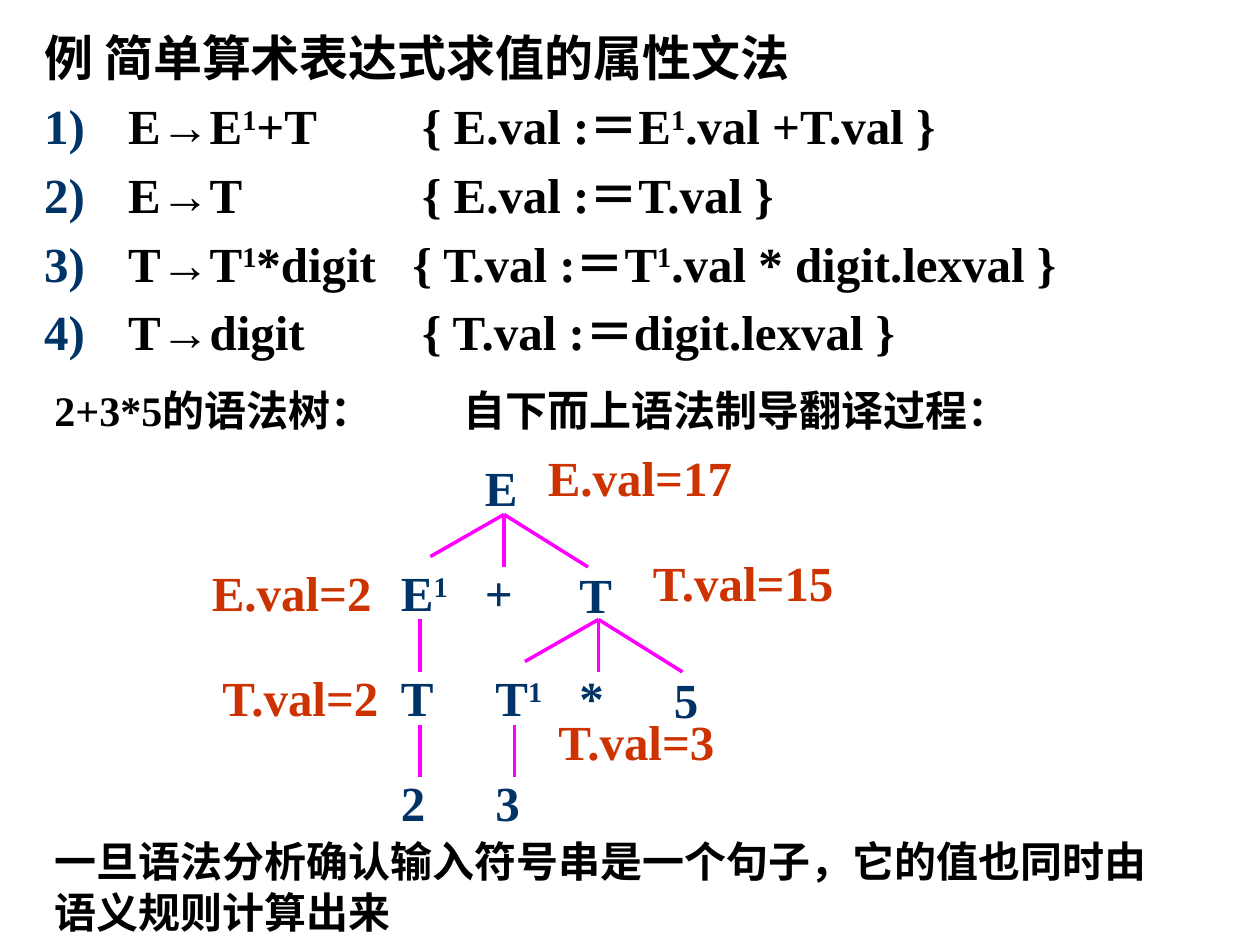
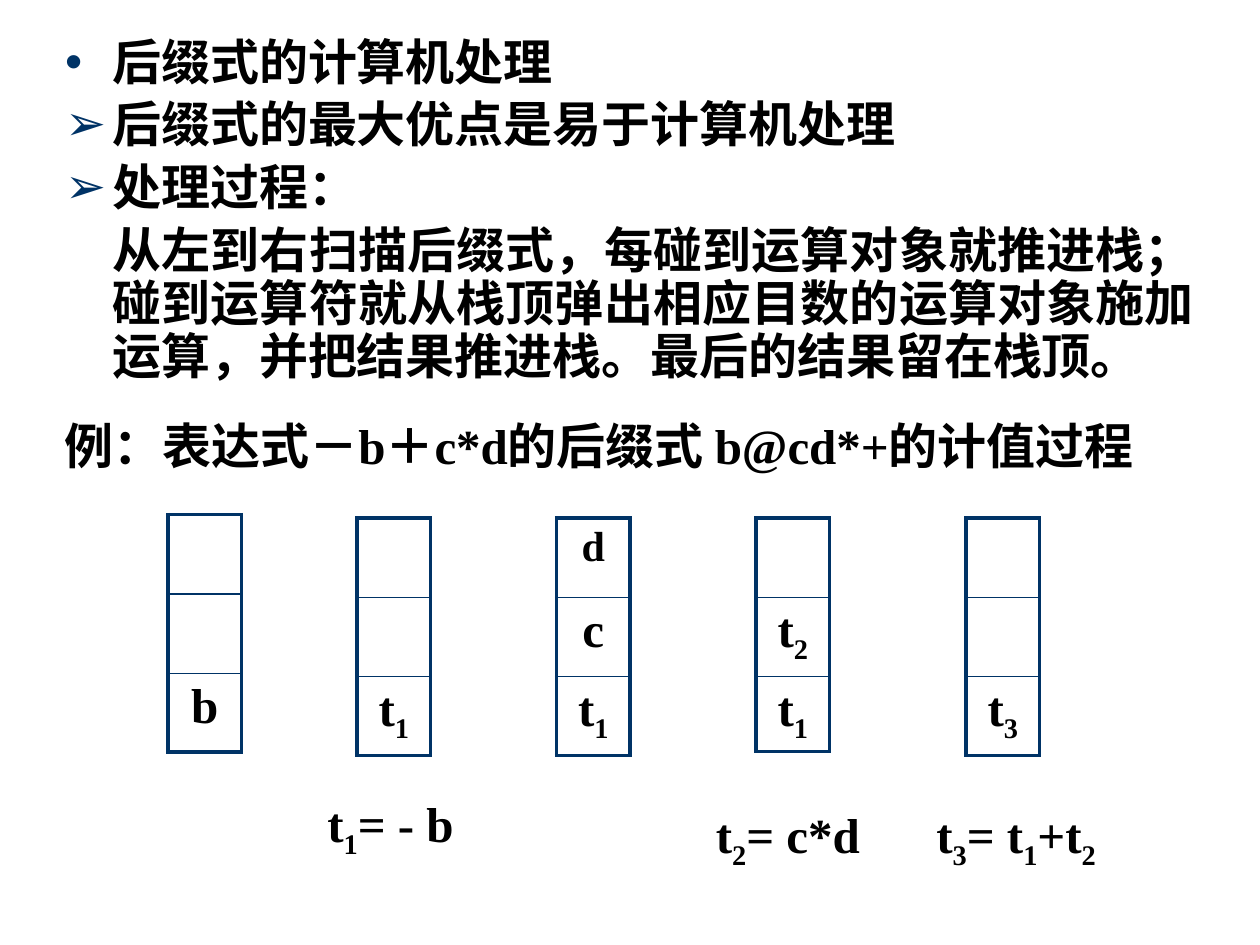
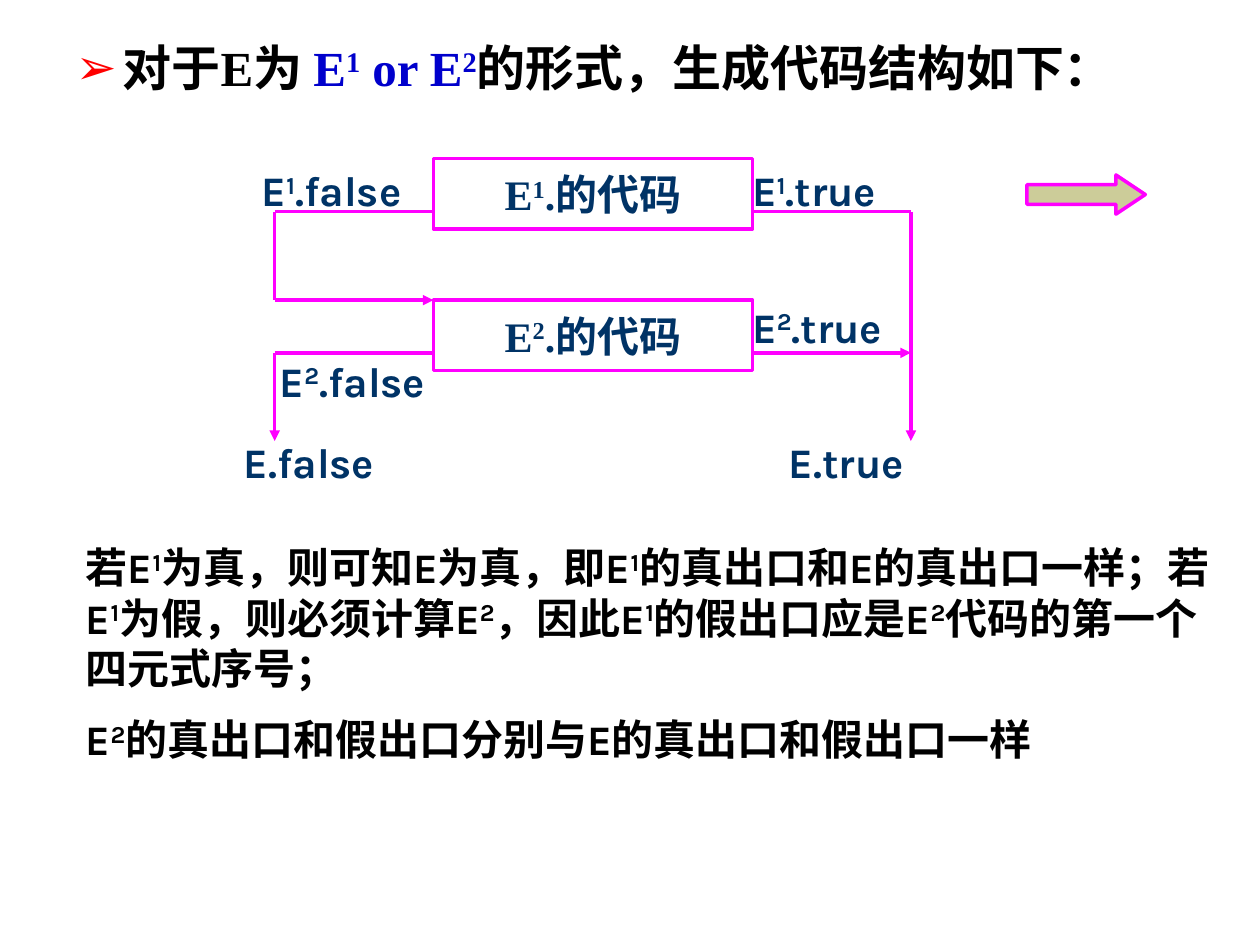
"""Builds three slides on attribute grammars, postfix evaluation and boolean code."""
from dataclasses import dataclass, replace
from itertools import groupby
from typing import NamedTuple

from lxml import etree
from pptx import Presentation
from pptx.dml.color import RGBColor
from pptx.enum.lang import MSO_LANGUAGE_ID
from pptx.enum.shapes import MSO_CONNECTOR, MSO_SHAPE
from pptx.enum.text import MSO_ANCHOR, MSO_AUTO_SIZE, PP_ALIGN
from pptx.oxml.ns import qn
from pptx.util import Pt

CENTER, LEFT, JUSTIFY = PP_ALIGN.CENTER, PP_ALIGN.LEFT, PP_ALIGN.JUSTIFY
TOP, MIDDLE = MSO_ANCHOR.TOP, MSO_ANCHOR.MIDDLE
FIXED, GROW = MSO_AUTO_SIZE.NONE, MSO_AUTO_SIZE.SHAPE_TO_FIT_TEXT
STRAIGHT = MSO_CONNECTOR.STRAIGHT
RECTANGLE, RIGHT_ARROW = MSO_SHAPE.RECTANGLE, MSO_SHAPE.RIGHT_ARROW
CHINESE = MSO_LANGUAGE_ID.SIMPLIFIED_CHINESE

BLACK, WHITE, NAVY, MAGENTA = "000000", "FFFFFF", "003366", "FF00FF"
RUST, BLUE, RED, SAND = "CC3300", "0000CC", "FF0000", "CCCC99"
SERIF, SANS = "Times New Roman", "Karla"
LINE_WIDTH = 2
SHIFTS = {"^": 30000, "_": -25000}


@dataclass(frozen=True)
class Style:
    size: float = 28
    colour: str = BLACK
    font: str = SERIF
    latin: str = ""


LARGE = Style()
NOTE = Style(size=24)
NODE = Style(colour=NAVY)
VALUE = Style(colour=RUST)
CODE = Style(size=24, colour=NAVY)
EXIT = replace(CODE, font=SANS)
MIXED = replace(NOTE, latin=SANS)


class Entry(NamedTuple):
    text: str
    bullet: str = ""
    bullet_colour: str = NAVY
    align: PP_ALIGN = JUSTIFY
    first: float = 0


class Label(NamedTuple):
    text: str
    left: float
    top: float
    width: float
    style: Style


class Stack(NamedTuple):
    left: float
    top: float
    cells: tuple
    last_height: float = 45


class Arrow(NamedTuple):
    x1: float
    y1: float
    x2: float
    y2: float
    head: bool = False


def rgb(value: str) -> RGBColor:
    """Turn a hex string into a colour."""
    return RGBColor.from_string(value)


def write(para, text: str, style: Style) -> None:
    """Append text as runs; ^ raises and _ lowers the next character."""
    marked, shift = [], 0
    for character in text:
        if character in SHIFTS:
            shift = SHIFTS[character]
            continue
        latin = style.latin and character.isascii()
        marked.append((character, shift, style.latin if latin else style.font))
        shift = 0
    for (shift, font), group in groupby(marked, key=lambda mark: mark[1:]):
        span = para.add_run()
        span.text = "".join(mark[0] for mark in group)
        span.font.size, span.font.bold, span.font.name = Pt(style.size), True, font
        span.font.color.rgb = rgb(style.colour)
        span.font.language_id = CHINESE
        if shift:
            span.font._element.set("baseline", str(shift))


def add_bullet(para, bullet: str, colour: str) -> None:
    """Give a paragraph a numbered, a character or no bullet."""
    properties = para._p.get_or_add_pPr()
    if not bullet:
        etree.SubElement(properties, qn("a:buNone"))
        return
    tint = etree.SubElement(properties, qn("a:buClr"))
    etree.SubElement(tint, qn("a:srgbClr"), val=colour)
    if bullet == "1)":
        etree.SubElement(properties, qn("a:buAutoNum"), type="arabicParenR")
    else:
        etree.SubElement(properties, qn("a:buChar"), char=bullet)


def add_page(deck, frame: tuple, entries: list, indent: float, spacing: float = 1.0):
    """Add a slide whose body placeholder holds the entries."""
    page = deck.slides.add_slide(deck.slide_layouts[1])
    title = page.shapes.title
    title._element.getparent().remove(title._element)
    body = page.placeholders[1]
    body.left, body.top, body.width, body.height = map(Pt, frame)
    text_frame = body.text_frame
    text_frame.auto_size, text_frame.vertical_anchor = FIXED, TOP
    for index, entry in enumerate(entries):
        para = text_frame.add_paragraph() if index else text_frame.paragraphs[0]
        para.alignment, para.line_spacing = entry.align, spacing
        para.space_before = Pt(5.6 if index else 0)
        properties = para._p.get_or_add_pPr()
        properties.set("marL", str(Pt(indent)))
        properties.set("indent", str(Pt(entry.first)))
        properties.set("defTabSz", str(Pt(72)))
        add_bullet(para, entry.bullet, entry.bullet_colour)
        write(para, entry.text, LARGE)
    return page


def add_label(page, label: Label) -> None:
    """Add a text box with one paragraph per line of the label."""
    height = label.style.size * 1.2 + 7.2
    box = page.shapes.add_textbox(*map(Pt, (label.left, label.top, label.width, height)))
    text_frame = box.text_frame
    text_frame.word_wrap, text_frame.auto_size = True, GROW
    for index, line in enumerate(label.text.split("\n")):
        para = text_frame.add_paragraph() if index else text_frame.paragraphs[0]
        para.space_before = Pt(label.style.size / 2 if index else 0)
        write(para, line, label.style)


def add_line(page, arrow: Arrow) -> None:
    """Add a straight magenta line, with a head where asked."""
    ends = map(Pt, (arrow.x1, arrow.y1, arrow.x2, arrow.y2))
    connector = page.shapes.add_connector(STRAIGHT, *ends)
    connector.line.color.rgb = rgb(MAGENTA)
    connector.line.width = Pt(LINE_WIDTH)
    if arrow.head:
        etree.SubElement(connector.line._get_or_add_ln(), qn("a:tailEnd"), type="triangle")
    etree.SubElement(connector._element.spPr, qn("a:effectLst"))


def add_block(page, kind: MSO_SHAPE, frame: tuple, fill: str):
    """Add a filled shape with a magenta outline."""
    block = page.shapes.add_shape(kind, *map(Pt, frame))
    block.shadow.inherit = False
    block.fill.solid()
    block.fill.fore_color.rgb = rgb(fill)
    block.line.color.rgb = rgb(MAGENTA)
    block.line.width = Pt(LINE_WIDTH)
    return block


def add_border(cell, side: str, width: float) -> None:
    """Draw one navy border of a cell."""
    line = etree.SubElement(cell._tc.get_or_add_tcPr(), qn(f"a:{side}"), w=str(Pt(width)))
    fill = etree.SubElement(line, qn("a:solidFill"))
    etree.SubElement(fill, qn("a:srgbClr"), val=NAVY)


def add_stack(page, stack: Stack) -> None:
    """Draw a stack as a one-column table."""
    last = len(stack.cells) - 1
    heights = [45.36] * last + [stack.last_height]
    frame = (stack.left, stack.top, 42, sum(heights))
    table = page.shapes.add_table(last + 1, 1, *map(Pt, frame)).table
    table.first_row = table.horz_banding = False
    for index, (text, height) in enumerate(zip(stack.cells, heights)):
        table.rows[index].height = Pt(height)
        cell = table.cell(index, 0)
        for side, width in (("lnL", 2.25), ("lnR", 2.25),
                            ("lnT", 1 if index else 2.25),
                            ("lnB", 2.25 if index == last else 1)):
            add_border(cell, side, width)
        cell.fill.background()
        para = cell.text_frame.paragraphs[0]
        para.alignment = CENTER
        write(para, text, NOTE if text == "d" else LARGE)


def build_grammar(deck) -> None:
    """Attribute grammar with its annotated syntax tree."""
    rules = ["E→E^1+T\t{ E.val :＝E^1.val +T.val }",
             "E→T\t\t{ E.val :＝T.val }",
             "T→T^1*digit   { T.val :＝T^1.val * digit.lexval }",
             "T→digit\t{ T.val :＝digit.lexval }"]
    entries = [Entry("例 简单算术表达式求值的属性文法", align=LEFT, first=-48)]
    entries += [Entry(rule, "1)", first=-48) for rule in rules]
    page = add_page(deck, (18, 12, 672, 210), entries, 48)
    nodes = [("E", 270, 258), ("E^1", 222, 318), ("+", 270, 318), ("T", 324, 319),
             ("T", 222, 378), ("T^1", 276, 378), ("*", 324, 378), ("5", 378, 379),
             ("2", 222, 438), ("3", 276, 438)]
    for text, left, top in nodes:
        add_label(page, Label(text, left, top, 48 if "^" in text else 36, NODE))
    for x, y in ((288, 294), (342, 354)):
        for dx, dy in ((-42, 24), (0, 30), (48, 30)):
            add_line(page, Arrow(x, y, x + dx, y + dy))
    for x, y in ((240, 354), (240, 414), (294, 414)):
        add_line(page, Arrow(x, y, x, y + 30))
    for label in (
        Label("T.val=2", 120, 378, 108, VALUE),
        Label("T.val=3", 312, 403, 108, VALUE),
        Label("T.val=15", 366, 312, 132, VALUE),
        Label("E.val=2", 114, 318, 108, VALUE),
        Label("E.val=17", 306, 252, 126, VALUE),
        Label("2+3*5的语法树：", 24, 216, 228, NOTE),
        Label("自下而上语法制导翻译过程：", 258, 216, 378, NOTE),
        Label("一旦语法分析确认输入符号串是一个句子，它的值也同时由语义规则计算出来",
              24, 474, 648, NOTE),
    ):
        add_label(page, label)


def build_postfix(deck) -> None:
    """Postfix evaluation with the stack after each step."""
    entries = [
        Entry("后缀式的计算机处理", "•", align=LEFT, first=-27),
        Entry("后缀式的最大优点是易于计算机处理", "➢", first=-27),
        Entry("处理过程：", "➢", first=-27),
        Entry("从左到右扫描后缀式，每碰到运算对象就推进栈；碰到运算符就从栈顶弹出"
              "相应目数的运算对象施加运算，并把结果推进栈。最后的结果留在栈顶。"),
    ]
    page = add_page(deck, (30, 18, 660, 222), entries, 27, 0.9)
    for stack in (
        Stack(96, 294, ("", "", "b")),
        Stack(204, 296, ("", "", "t_1")),
        Stack(318, 296, ("d", "c", "t_1")),
        Stack(432, 296, ("", "t_2", "t_1"), 41),
        Stack(552, 296, ("", "", "t_3")),
    ):
        add_stack(page, stack)
    for label in (
        Label("t_1= - b", 180, 450, 96, LARGE),
        Label("t_2= c*d", 402, 456, 114, LARGE),
        Label("t_3= t_1+t_2", 528, 456, 120, LARGE),
        Label("例：表达式－b＋c*d的后缀式 b@cd*+的计值过程", 30, 234, 628.5, LARGE),
    ):
        add_label(page, label)


def build_boolean(deck) -> None:
    """Code structure for a disjunction and its exits."""
    page = add_page(deck, (36, 18, 654, 42),
                    [Entry("对于E为 ", "➢", RED, LEFT, -27)], 27)
    heading = page.placeholders[1].text_frame.paragraphs[0]
    write(heading, "E^1 or E^2", replace(LARGE, colour=BLUE))
    write(heading, "的形式，生成代码结构如下：", LARGE)

    box_left, box_right, false_x, true_x = 247.7, 430, 157, 520.5
    first_exit, second_top, second_exit, bottom = 121, 171.5, 201.6, 252
    for text, top in (("E^1.的代码", 90.7), ("E^2.的代码", second_top)):
        block = add_block(page, RECTANGLE, (box_left, top, box_right - box_left, 40.3), WHITE)
        block.text_frame.vertical_anchor = MIDDLE
        para = block.text_frame.paragraphs[0]
        para.alignment = CENTER
        write(para, text, CODE)
    for arrow in (
        Arrow(false_x, first_exit, box_left, first_exit),
        Arrow(false_x, first_exit, false_x, second_top),
        Arrow(false_x, second_top, box_left, second_top, True),
        Arrow(false_x, second_exit, box_left, second_exit),
        Arrow(false_x, second_exit, false_x, bottom, True),
        Arrow(box_right, first_exit, true_x, first_exit),
        Arrow(true_x, first_exit, true_x, bottom, True),
        Arrow(box_right, second_exit, true_x, second_exit, True),
    ):
        add_line(page, arrow)
    for label in (
        Label("E^1.false", 142.5, 90.7, 114.5, EXIT),
        Label("E^2.false", 152.7, 199.5, 114.5, EXIT),
        Label("E.false", 132, 246, 114.5, EXIT),
        Label("E^1.true", 422.7, 90.7, 104, EXIT),
        Label("E^2.true", 422.7, 168.5, 114.5, EXIT),
        Label("E.true", 443.5, 246, 114.5, EXIT),
        Label("若E^1为真，则可知E为真，即E^1的真出口和E的真出口一样；若E^1为假，"
              "则必须计算E^2，因此E^1的假出口应是E^2代码的第一个四元式序号；\n"
              "E^2的真出口和假出口分别与E的真出口和假出口一样", 42, 306, 660, MIXED),
    ):
        add_label(page, label)
    pointer = add_block(page, RIGHT_ARROW, (586.8, 100, 67.7, 22.4), SAND)
    pointer.adjustments[0], pointer.adjustments[1] = 0.5, 0.75


def main() -> None:
    """Build the deck and save it."""
    deck = Presentation()
    deck.slide_width, deck.slide_height = Pt(720), Pt(540)
    build_grammar(deck)
    build_postfix(deck)
    build_boolean(deck)
    deck.save("out.pptx")


if __name__ == "__main__":
    main()
